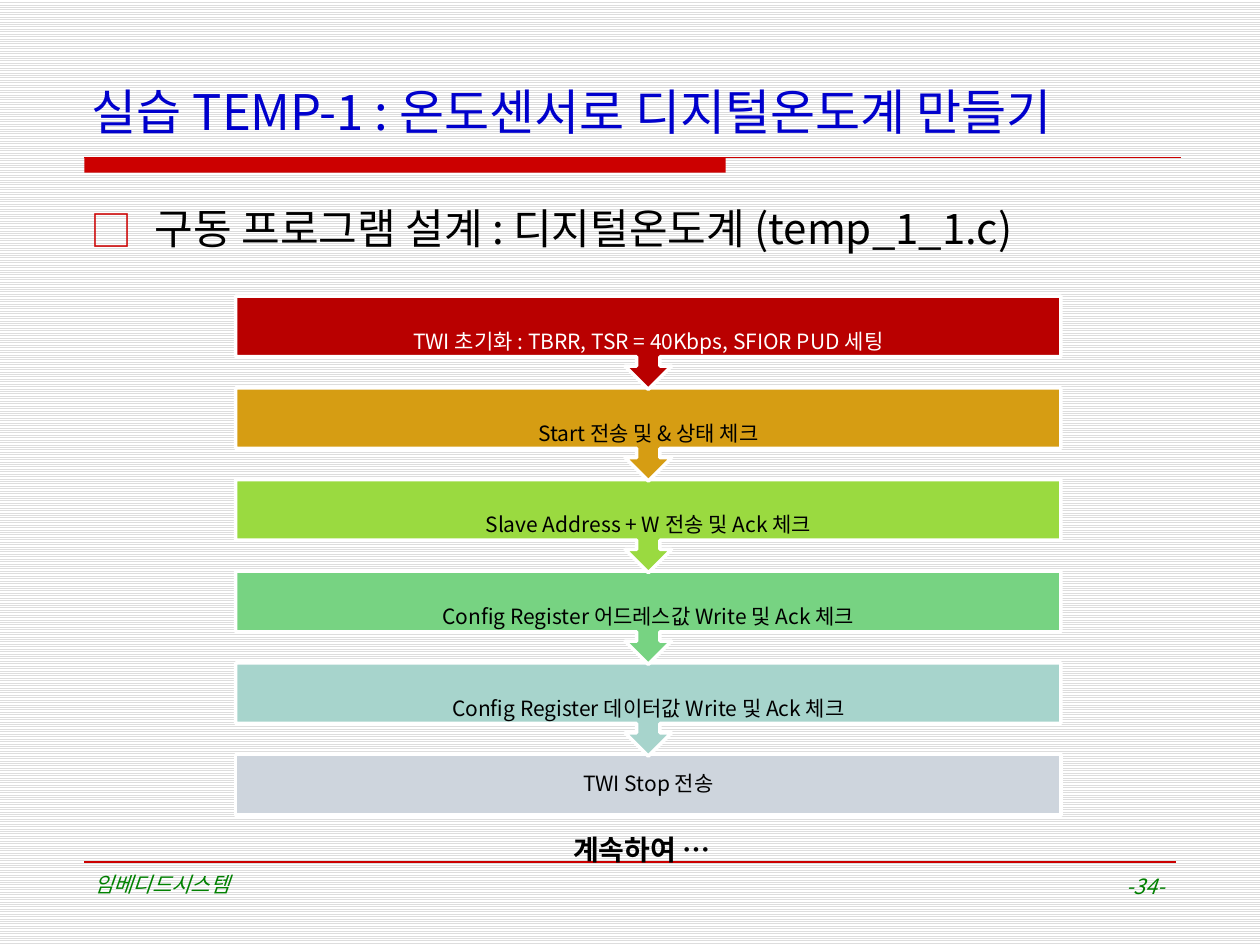
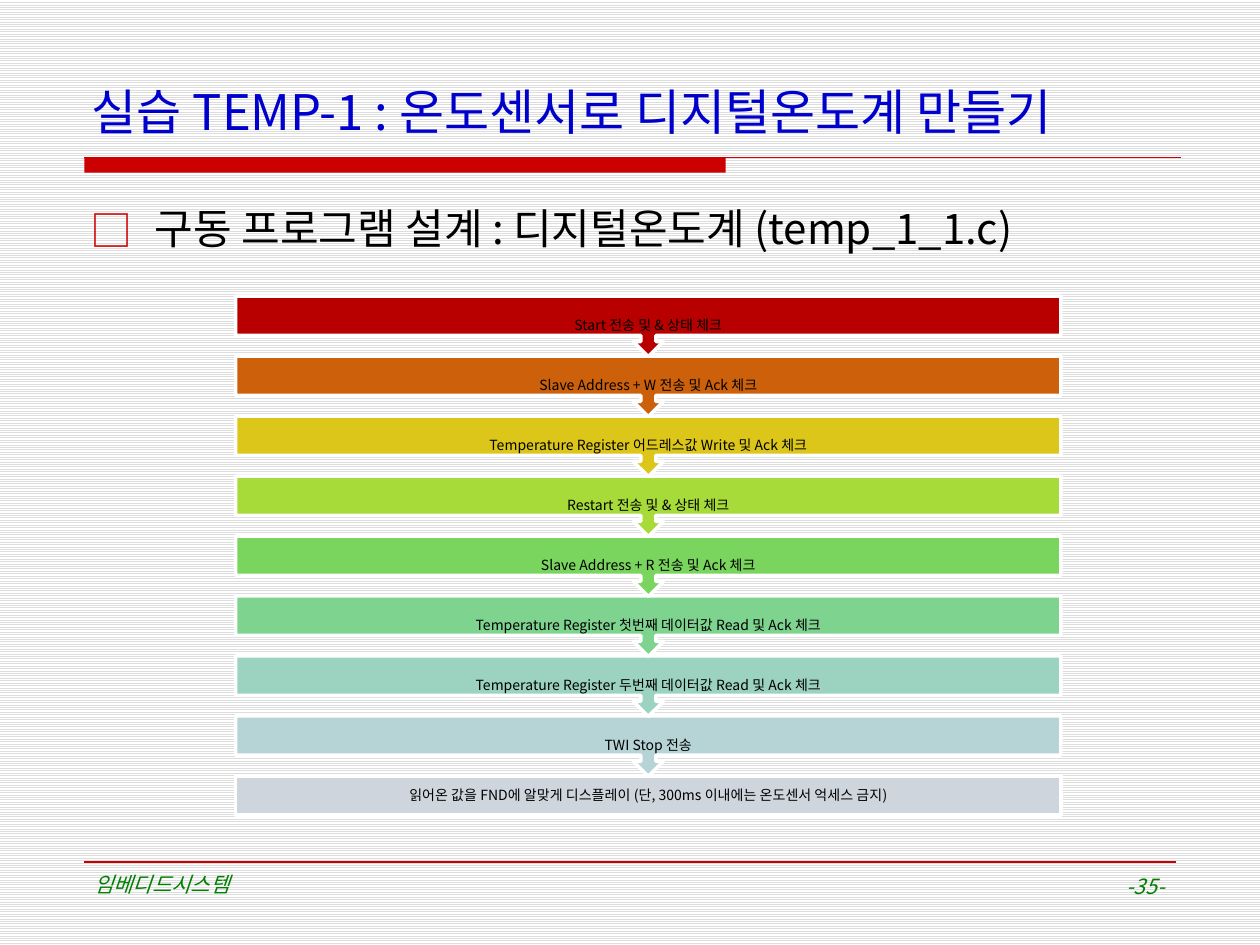
from lxml import etree
from pptx import Presentation
from pptx.dml.color import RGBColor
from pptx.enum.dml import MSO_PATTERN
from pptx.enum.shapes import MSO_CONNECTOR, MSO_SHAPE
from pptx.enum.text import MSO_ANCHOR, MSO_AUTO_SIZE, PP_ALIGN
from pptx.oxml.ns import qn
from pptx.util import Inches, Pt

FONT = "Noto Sans CJK KR"
WHITE = RGBColor(0xFF, 0xFF, 0xFF)
BLACK = RGBColor(0x00, 0x00, 0x00)
STRIPE = RGBColor(0xDD, 0xDD, 0xDD)
RED = RGBColor(0xCC, 0x00, 0x00)
BLUE = RGBColor(0x00, 0x00, 0xCC)
GREEN = RGBColor(0x00, 0x80, 0x00)
CRIMSON = RGBColor(0xB9, 0x00, 0x00)
AMBER = RGBColor(0xD6, 0x9D, 0x13)
LIME = RGBColor(0x9A, 0xDA, 0x40)
MINT = RGBColor(0x77, 0xD3, 0x82)
TEAL = RGBColor(0xA7, 0xD4, 0xCC)
GREY = RGBColor(0xCE, 0xD5, 0xDD)
ORANGE = RGBColor(0xCC, 0x60, 0x0B)
YELLOW = RGBColor(0xDC, 0xC6, 0x19)
YELLOW_GREEN = RGBColor(0xA6, 0xDB, 0x39)
LEAF = RGBColor(0x79, 0xD5, 0x5D)
SEA = RGBColor(0x7E, 0xD3, 0x8F)
AQUA = RGBColor(0x9C, 0xD3, 0xC0)
ICE = RGBColor(0xB6, 0xD3, 0xD6)

TITLE = "실습 TEMP-1 : 온도센서로 디지털온도계 만들기"
HEADING = "구동 프로그램 설계 : 디지털온도계 (temp_1_1.c)"
FOOTER = "임베디드시스템"

FLOW_LEFT, FLOW_TOP, FLOW_WIDTH, FLOW_BOTTOM = 1.87, 2.35, 6.55, 6.47
BAR_SHARE = 0.65

WRITE_STEPS = [
    ("TWI 초기화 : TBRR, TSR = 40Kbps, SFIOR PUD 세팅", CRIMSON, WHITE),
    ("Start 전송 및 & 상태 체크", AMBER, BLACK),
    ("Slave Address + W 전송 및 Ack 체크", LIME, BLACK),
    ("Config Register 어드레스값 Write 및 Ack 체크", MINT, BLACK),
    ("Config Register 데이터값 Write 및 Ack 체크", TEAL, BLACK),
    ("TWI Stop 전송", GREY, BLACK),
]
READ_STEPS = [
    ("Start 전송 및 & 상태 체크", CRIMSON, BLACK),
    ("Slave Address + W 전송 및 Ack 체크", ORANGE, BLACK),
    ("Temperature Register 어드레스값 Write 및 Ack 체크", YELLOW, BLACK),
    ("Restart 전송 및 & 상태 체크", YELLOW_GREEN, BLACK),
    ("Slave Address + R 전송 및 Ack 체크", LEAF, BLACK),
    ("Temperature Register 첫번째 데이터값 Read 및 Ack 체크", SEA, BLACK),
    ("Temperature Register 두번째 데이터값 Read 및 Ack 체크", AQUA, BLACK),
    ("TWI Stop 전송", ICE, BLACK),
    ("읽어온 값을 FND에 알맞게 디스플레이 (단, 300ms 이내에는 온도센서 억세스 금지)",
     GREY, BLACK),
]


def add_text(shapes, box, text, size, color, bold=False, italic=False,
             align=PP_ALIGN.LEFT, anchor=MSO_ANCHOR.TOP, wrap=True):
    shape = shapes.add_textbox(*map(Inches, box))
    text_frame = shape.text_frame
    text_frame.word_wrap = wrap
    text_frame.vertical_anchor = anchor
    text_frame.text = text
    paragraph = text_frame.paragraphs[0]
    paragraph.alignment = align
    run = paragraph.runs[0]
    font = run.font
    font.name = FONT
    font.size = Pt(size)
    font.bold = bold
    font.italic = italic
    font.color.rgb = color
    east_asian = etree.SubElement(font._element, qn("a:ea"))
    east_asian.set("typeface", FONT)
    return shape


def add_shape(shapes, preset, box, fill):
    shape = shapes.add_shape(preset, *map(Inches, box))
    shape.shadow.inherit = False
    shape.fill.solid()
    shape.fill.fore_color.rgb = fill
    shape.line.fill.background()
    return shape


def add_rule(slide, left, right, top):
    connector = slide.shapes.add_connector(
        MSO_CONNECTOR.STRAIGHT, Inches(left), Inches(top), Inches(right), Inches(top))
    connector.line.color.rgb = RED
    connector.line.width = Pt(1)
    etree.SubElement(connector._element.spPr, qn("a:effectLst"))


def add_heading(slide):
    shape = add_text(slide.shapes, (0.62, 1.56, 8.75, 5.26), HEADING, 24, BLACK)
    paragraph = shape.text_frame.paragraphs[0]
    paragraph.space_before = Pt(4.8)
    properties = paragraph._p.get_or_add_pPr()
    properties.set("marL", str(Inches(0.51)))
    properties.set("indent", str(-Inches(0.51)))
    bullet_color = etree.SubElement(properties, qn("a:buClr"))
    etree.SubElement(bullet_color, qn("a:srgbClr")).set("val", str(RED))
    etree.SubElement(properties, qn("a:buFont")).set("typeface", FONT)
    etree.SubElement(properties, qn("a:buChar")).set("char", "□")


def add_base_slide(presentation, number):
    slide = presentation.slides.add_slide(presentation.slide_layouts[6])
    background = slide.background.fill
    background.patterned()
    background.pattern = MSO_PATTERN.LIGHT_HORIZONTAL
    background.fore_color.rgb = STRIPE
    background.back_color.rgb = WHITE
    add_shape(slide.shapes, MSO_SHAPE.RECTANGLE, (0.67, 1.25, 5.09, 0.12), RED)
    add_rule(slide, 0.67, 9.37, 1.25)
    add_rule(slide, 0.67, 9.33, 6.84)
    add_text(slide.shapes, (0.63, 0.53, 8.75, 0.63), TITLE, 28, BLUE,
             anchor=MSO_ANCHOR.BOTTOM)
    add_heading(slide)
    add_text(slide.shapes, (0.65, 6.87, 5.73, 0.48), FOOTER, 12, GREEN, italic=True)
    add_text(slide.shapes, (7.17, 6.88, 2.17, 0.47), f"-{number}-", 12, GREEN,
             italic=True, align=PP_ALIGN.RIGHT)
    return slide


def add_step(shapes, box, step, is_last, size, inset):
    text, fill, color = step
    preset = MSO_SHAPE.RECTANGLE if is_last else MSO_SHAPE.UP_ARROW_CALLOUT
    shape = add_shape(shapes, preset, box, fill)
    shape.rotation = 0 if is_last else 180
    shape.line.color.rgb = WHITE
    shape.line.width = Pt(2)
    label = add_text(shapes, box, text, size, color,
                     align=PP_ALIGN.CENTER, anchor=MSO_ANCHOR.MIDDLE)
    text_frame = label.text_frame
    text_frame.margin_left = text_frame.margin_right = Inches(inset)
    text_frame.margin_top = text_frame.margin_bottom = Inches(inset)
    paragraph = text_frame.paragraphs[0]
    paragraph.line_spacing = 0.9
    paragraph.space_after = Pt(0.35 * size)


def add_flow(slide, steps, callout_height, size, inset):
    shapes = slide.shapes.add_group_shape().shapes
    bar_height = callout_height * BAR_SHARE
    last = len(steps) - 1
    pitch = (FLOW_BOTTOM - bar_height - FLOW_TOP) / last
    for index in range(last, -1, -1):
        is_last = index == last
        height = bar_height if is_last else callout_height
        box = (FLOW_LEFT, FLOW_TOP + index * pitch, FLOW_WIDTH, height)
        add_step(shapes, box, steps[index], is_last, size, inset)


def main():
    presentation = Presentation()
    presentation.slide_width = Inches(10)
    presentation.slide_height = Inches(7.5)

    write_slide = add_base_slide(presentation, 34)
    add_flow(write_slide, WRITE_STEPS, 0.74, 12, 0.09)
    note = add_text(write_slide.shapes, (4.45, 6.56, 1.39, 0.37), "계속하여 …", 16,
                    BLACK, bold=True, wrap=False)
    note.text_frame.auto_size = MSO_AUTO_SIZE.SHAPE_TO_FIT_TEXT

    read_slide = add_base_slide(presentation, 35)
    add_flow(read_slide, READ_STEPS, 0.48, 8, 0.06)

    presentation.save("out.pptx")


main()
